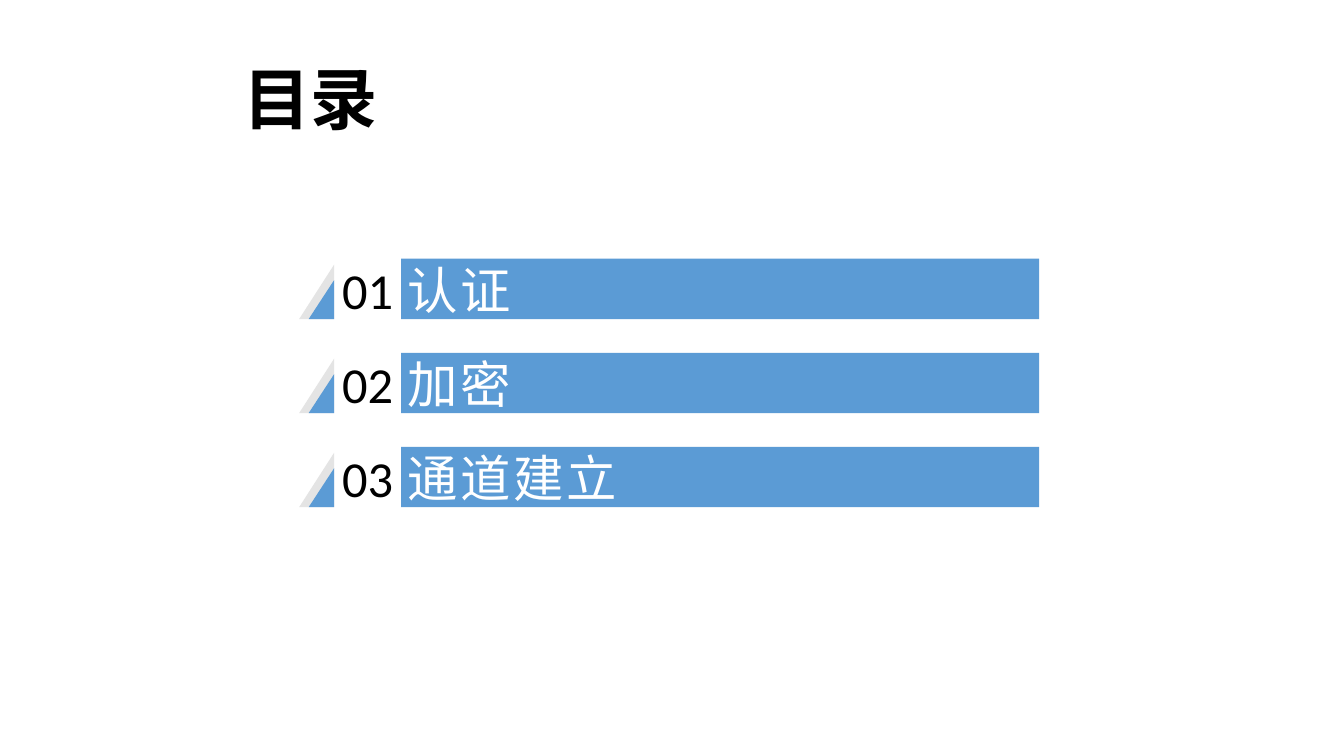
from lxml.etree import SubElement as Sub
from pptx import Presentation
from pptx.dml.color import RGBColor
from pptx.enum.text import MSO_ANCHOR as Anchor, PP_ALIGN as Align
from pptx.oxml.ns import qn
from pptx.util import Cm, Pt

BLUE = RGBColor(0x5B, 0x9B, 0xD5)
GRAY = RGBColor(0xE4, 0xE4, 0xE4)
BLACK = RGBColor(0, 0, 0)
WHITE = RGBColor(255, 255, 255)


class Deck:
    latin = "Calibri"
    asian = "Noto Sans CJK SC"

    def __init__(self):
        self.prs = Presentation()
        self.prs.slide_width, self.prs.slide_height = Cm(33.87), Cm(19.05)
        self.slide = self.prs.slides.add_slide(self.prs.slide_layouts[6])

    def letter(self, shape, text, size, color, align, font=latin, bold=False, inset=0, gap=0):
        frame = shape.text_frame
        frame.word_wrap = True
        frame.vertical_anchor = Anchor.MIDDLE
        frame.margin_left = Cm(inset)
        frame.margin_right = frame.margin_top = frame.margin_bottom = 0
        par = frame.paragraphs[0]
        par.alignment = align
        run = par.add_run()
        run.text = text
        if gap:
            run.font._element.set("spc", str(gap * 100))
        style = par.font
        style.size, style.bold, style.name = Pt(size), bold, font
        style.color.rgb = color
        Sub(style._element, qn("a:ea")).set("typeface", self.asian)

    def label(self, left, top, width, height, text, size, **style):
        box = self.slide.shapes.add_textbox(Cm(left), Cm(top), Cm(width), Cm(height))
        self.letter(box, text, size, BLACK, Align.CENTER, **style)

    def outline(self, color, *paths):
        first, *rest = [[(Cm(x), Cm(y)) for x, y in path] for path in paths]
        pen = self.slide.shapes.build_freeform(*first[0])
        pen.add_line_segments(first[1:])
        for path in rest:
            pen.move_to(*path[0])
            pen.add_line_segments(path[1:])
        shape = pen.convert_to_shape()
        shape.shadow.inherit = False
        shape.fill.solid()
        shape.fill.fore_color.rgb = color
        shape.line.fill.background()
        return shape

    def entry(self, top, num, text):
        edge, left, right, high = 8.42, 10.11, 26.19, 1.52
        base = top + high
        self.outline(GRAY, [(edge, top + 0.15), (edge, base), (7.54, base), (edge, top + 0.15)])
        bar = self.outline(
            BLUE,
            [(edge, top + 0.54), (edge, base), (7.78, base), (edge, top + 0.54)],
            [(left, top), (right, top), (right, base), (left, base), (left, top)],
        )
        self.letter(bar, text, 36, WHITE, Align.LEFT, inset=2.49, gap=2)
        self.label(edge, top, left - edge, high, num, 36)


def main():
    deck = Deck()
    deck.label(5.79, 1.57, 4.06, 1.8, "目录", 48, font=Deck.asian, bold=True)
    for row, text in enumerate(["认证", "加密", "通道建立"]):
        deck.entry(6.52 + row * 2.37, f"{row + 1:02}", text)
    deck.prs.save("out.pptx")


if __name__ == "__main__":
    main()
